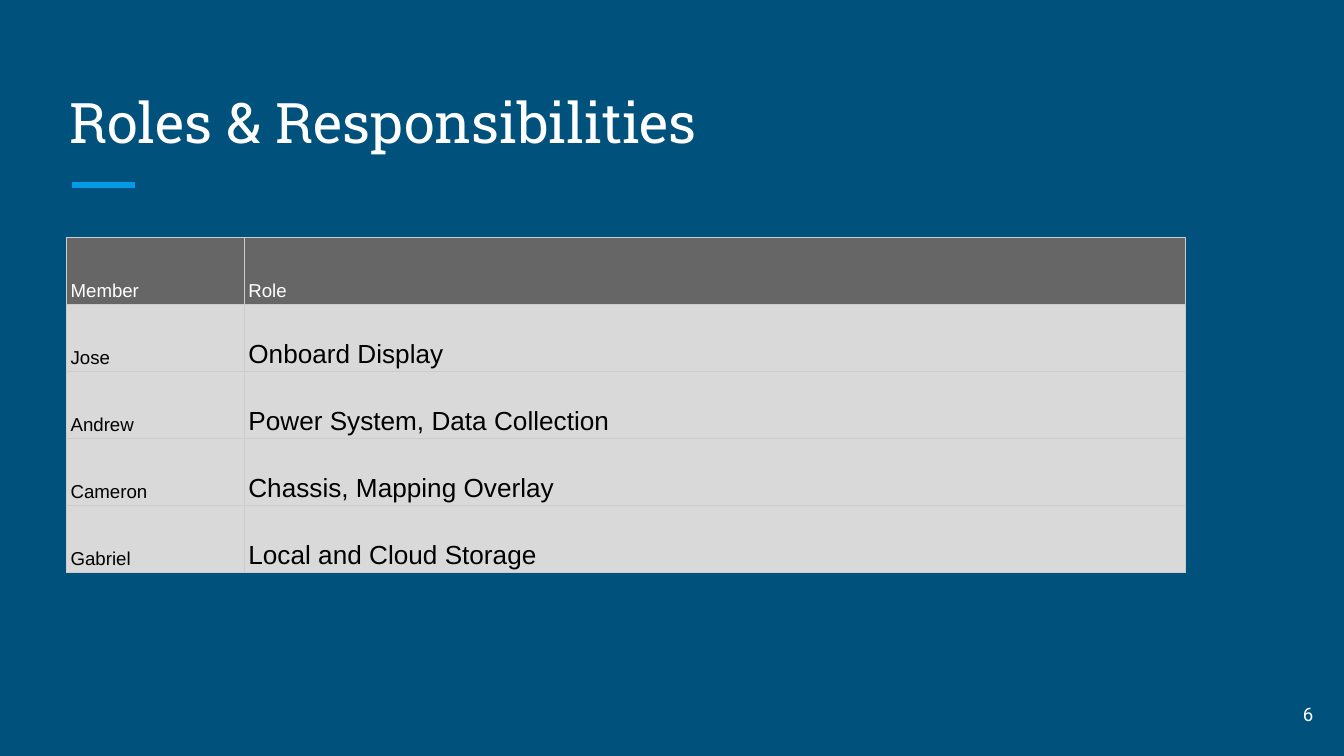
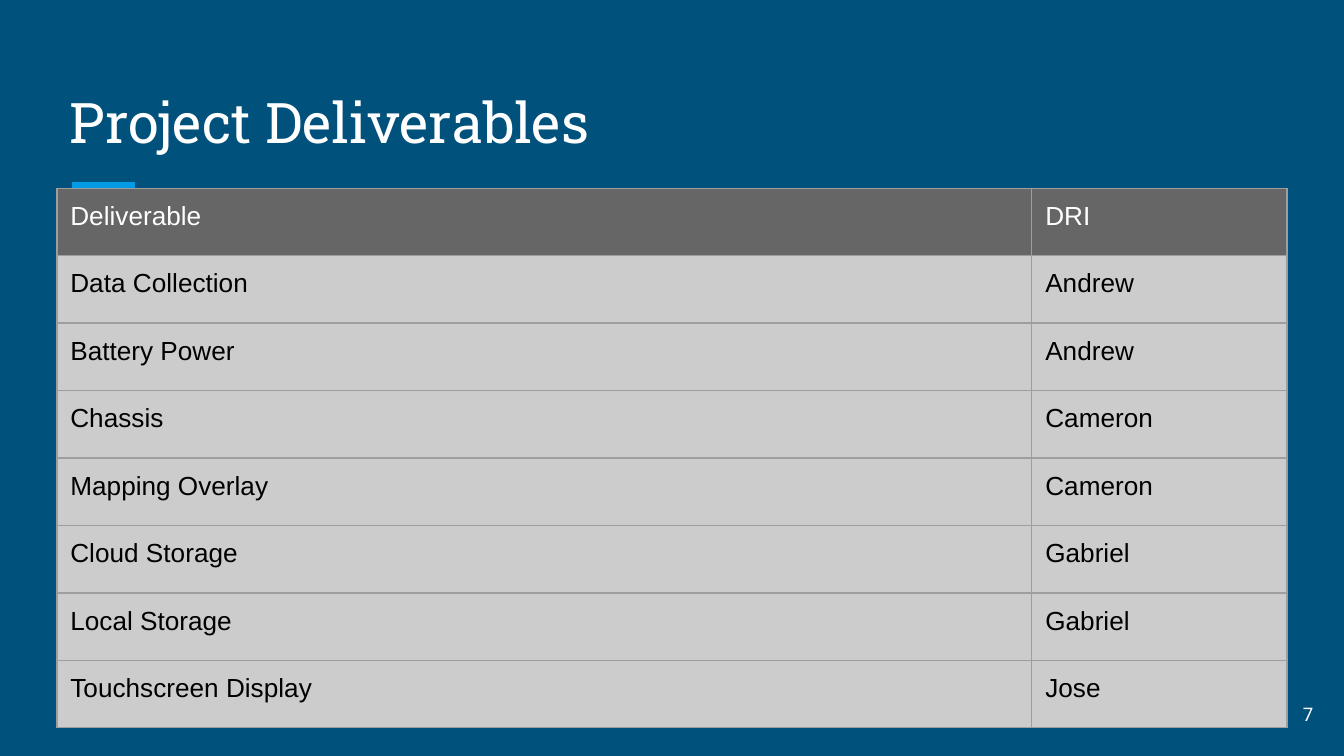
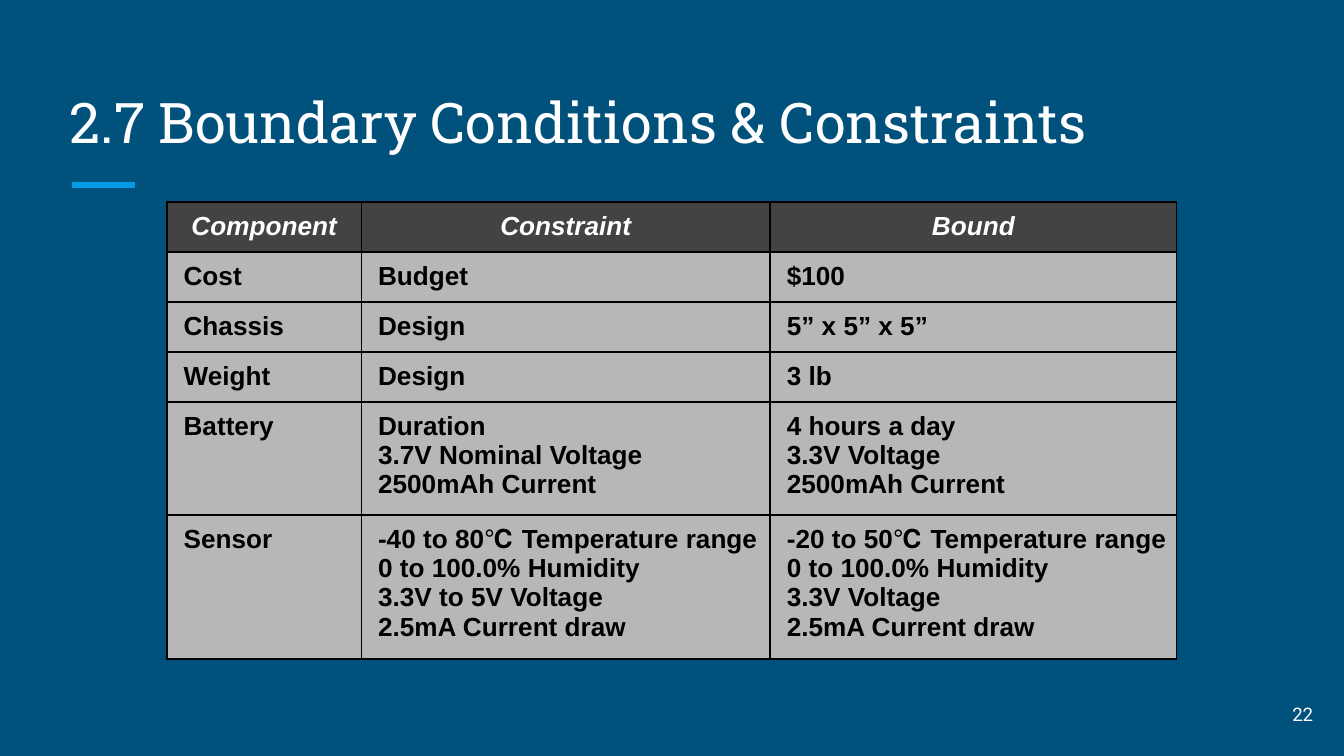
from lxml import etree
from pptx import Presentation
from pptx.dml.color import RGBColor
from pptx.enum import shapes as kinds, text as txt
from pptx.oxml import ns
from pptx.util import Pt

# Shared colours and fonts
NAVY = RGBColor(0x00, 0x51, 0x7C)
SKY = RGBColor(0x03, 0x9B, 0xE5)
WHITE = RGBColor(0xFF, 0xFF, 0xFF)
BLACK = RGBColor(0x00, 0x00, 0x00)
COAL = RGBColor(0x43, 0x43, 0x43)
SLATE = RGBColor(0x66, 0x66, 0x66)
STONE = RGBColor(0x9E, 0x9E, 0x9E)
ASH = RGBColor(0xB7, 0xB7, 0xB7)
SILVER = RGBColor(0xCC, 0xCC, 0xCC)
PEARL = RGBColor(0xD9, 0xD9, 0xD9)
SLAB, SANS, PLAIN = "Roboto Slab", "Roboto", "Arial"
LEFT, CENTER, RIGHT = txt.PP_ALIGN.LEFT, txt.PP_ALIGN.CENTER, txt.PP_ALIGN.RIGHT
TOP, MIDDLE, BOTTOM = (txt.MSO_ANCHOR.TOP, txt.MSO_ANCHOR.MIDDLE,
                       txt.MSO_ANCHOR.BOTTOM)

# Table contents, header row first
ROLES = [
    ("Member", "Role"),
    ("Jose", "Onboard Display"),
    ("Andrew", "Power System, Data Collection"),
    ("Cameron", "Chassis, Mapping Overlay"),
    ("Gabriel", "Local and Cloud Storage"),
]
TASKS = [
    ("Deliverable", "DRI"),
    ("Data Collection", "Andrew"),
    ("Battery Power", "Andrew"),
    ("Chassis", "Cameron"),
    ("Mapping Overlay", "Cameron"),
    ("Cloud Storage", "Gabriel"),
    ("Local Storage", "Gabriel"),
    ("Touchscreen Display", "Jose"),
]
LIMITS = [
    ("Component", "Constraint", "Bound"),
    ("Cost", "Budget", "$100"),
    ("Chassis", "Design", "5” x 5” x 5”"),
    ("Weight", "Design", "3 lb"),
    ("Battery",
     "Duration\n3.7V Nominal Voltage\n2500mAh Current",
     "4 hours a day\n3.3V Voltage\n2500mAh Current"),
    ("Sensor",
     "-40 to 80℃ Temperature range\n0 to 100.0% Humidity\n"
     "3.3V to 5V Voltage\n2.5mA Current draw",
     "-20 to 50℃ Temperature range\n0 to 100.0% Humidity\n"
     "3.3V Voltage\n2.5mA Current draw"),
]


def write(frame, words, font=PLAIN, size=14, color=BLACK, bold=False,
          italic=False, align=LEFT, space=1.0):
    """Fill a text frame, one paragraph per line of words."""
    frame.text = words
    for para in frame.paragraphs:
        para.alignment, para.line_spacing = align, space
        for run in para.runs:
            face = run.font
            face.name, face.size, face.color.rgb = font, Pt(size), color
            face.bold, face.italic = bold, italic


def inset(box, x, y, left=None):
    """Set the margins of a text frame or a table cell."""
    box.margin_left = Pt(x if left is None else left)
    box.margin_right = Pt(x)
    box.margin_top = box.margin_bottom = Pt(y)


def edge(cell, color, width):
    """Draw the four borders of a cell."""
    props = cell._tc.get_or_add_tcPr()
    for spot, side in enumerate(("lnL", "lnR", "lnT", "lnB")):
        line = etree.Element(ns.qn("a:" + side), w=str(Pt(width)))
        fill = etree.SubElement(line, ns.qn("a:solidFill"))
        etree.SubElement(fill, ns.qn("a:srgbClr"), val=str(color))
        props.insert(spot, line)


def head(slide, words):
    """Title with the short accent rule below it."""
    title = slide.shapes.title
    title.left, title.top, title.width, title.height = (
        Pt(30.2), Pt(36), Pt(659), Pt(54))
    frame = title.text_frame
    frame.auto_size = txt.MSO_AUTO_SIZE.NONE
    frame.word_wrap, frame.vertical_anchor = True, BOTTOM
    inset(frame, 7.2, 7.2)
    write(frame, words, font=SLAB, size=30, color=WHITE)

    rule = slide.shapes.add_connector(
        kinds.MSO_CONNECTOR.STRAIGHT, Pt(38.6), Pt(99), Pt(72.3), Pt(99))
    rule.line.color.rgb, rule.line.width = SKY, Pt(3)
    etree.SubElement(rule._element.spPr, ns.qn("a:effectLst"))


def number(slide, page):
    """Page number in the lower right corner."""
    frame = slide.shapes.add_textbox(
        Pt(667.4), Pt(367.2), Pt(43.2), Pt(31)).text_frame
    frame.word_wrap, frame.vertical_anchor = True, MIDDLE
    inset(frame, 7.2, 7.2)
    write(frame, str(page), font=SANS, size=10, color=WHITE, align=RIGHT)


def grid(slide, data, x, y, cols, high, fills, border, pad, top, body,
         anchor=TOP, left=None):
    """Table; top formats the header, body holds one format per column."""
    table = slide.shapes.add_table(
        len(data), len(cols), Pt(x), Pt(y), Pt(sum(cols)),
        Pt(sum(high))).table
    table.first_row = table.horz_banding = False
    for col, wide in zip(table.columns, cols):
        col.width = Pt(wide)
    for r, (row, tall) in enumerate(zip(data, high)):
        table.rows[r].height = Pt(tall)
        for c, words in enumerate(row):
            cell = table.cell(r, c)
            cell.fill.solid()
            cell.fill.fore_color.rgb = fills[min(r, 1)]
            edge(cell, *border)
            cell.vertical_anchor = anchor
            inset(cell, *pad, left=left if r else None)
            write(cell.text_frame, words, **(body[c] if r else top))


def start(deck, words, page):
    slide = deck.slides.add_slide(deck.slide_layouts[5])
    head(slide, words)
    number(slide, page)
    return slide


def main():
    deck = Presentation()
    deck.slide_width, deck.slide_height = Pt(720), Pt(405)
    back = deck.slide_master.background.fill
    back.solid()
    back.fore_color.rgb = NAVY

    # Roles
    slide = start(deck, "Roles & Responsibilities", 6)
    small = dict(size=10, space=1.15)
    grid(slide, ROLES, 35.7, 127.3, [95.2, 504.4], [35.9] * len(ROLES),
         (SLATE, PEARL), (SILVER, 0.8), (2.2, 1.4),
         dict(small, color=WHITE), [small, {}], anchor=BOTTOM)

    # Deliverables
    slide = start(deck, "Project Deliverables", 7)
    grid(slide, TASKS, 30.5, 100.8, [522.3, 136.7], [36.15] * len(TASKS),
         (SLATE, SILVER), (STONE, 0.75), (7.2, 7.2),
         dict(color=WHITE), [{}, {}])

    # Constraints: row height follows the number of lines
    slide = start(deck, "2.7 Boundary Conditions & Constraints", 22)
    high = [10 + 15.7 * (row[-1].count("\n") + 1) for row in LIMITS]
    grid(slide, LIMITS, 89.5, 108.2, [104.2, 219, 217.7], high,
         (COAL, ASH), (BLACK, 1), (5, 5),
         dict(color=WHITE, bold=True, italic=True, align=CENTER),
         [dict(bold=True)] * 3, left=8.9)

    deck.save("out.pptx")


if __name__ == "__main__":
    main()
